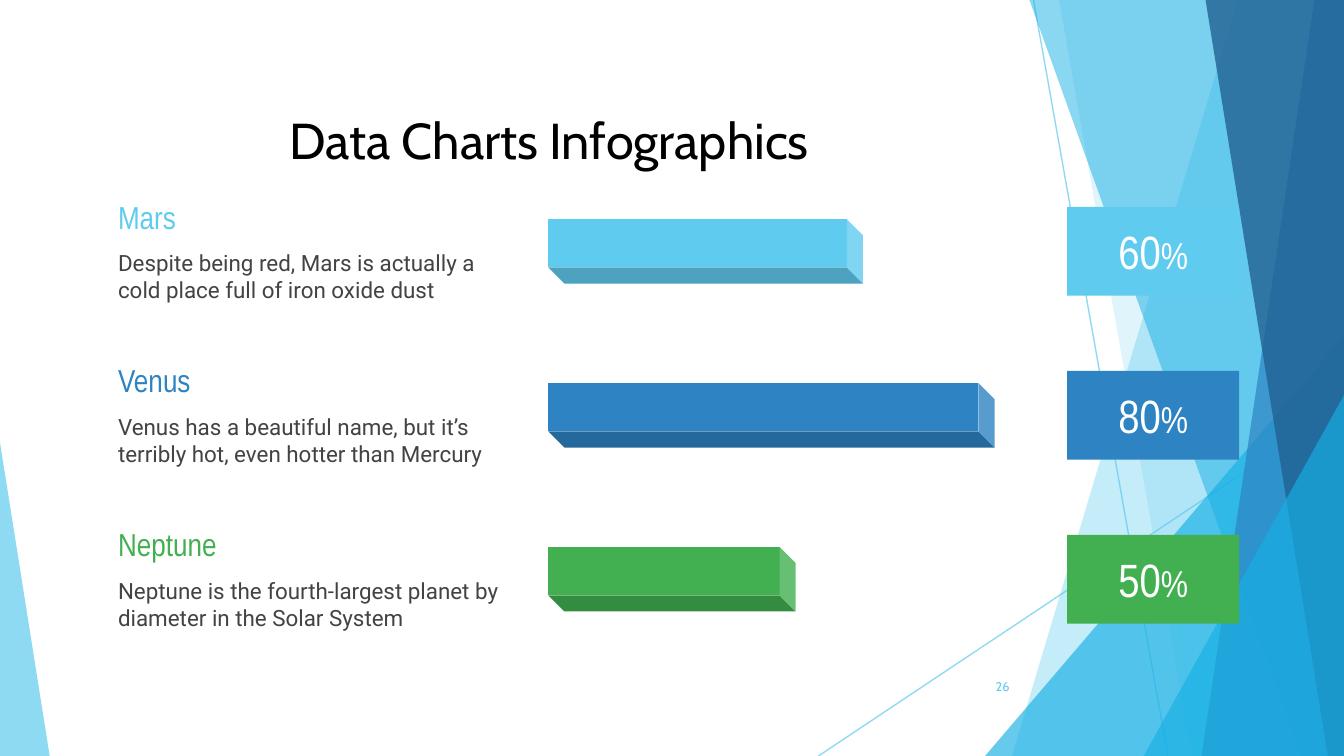
from dataclasses import dataclass

from lxml.etree import SubElement
from pptx import Presentation
from pptx.dml.color import RGBColor
from pptx.enum.shapes import MSO_CONNECTOR, MSO_SHAPE
from pptx.enum.text import MSO_ANCHOR, PP_ALIGN
from pptx.oxml.ns import qn
from pptx.util import Inches, Pt

WIDTH = 10
HEIGHT = WIDTH * 9 / 16
SKY = RGBColor(0x5F, 0xCB, 0xEF)
CYAN = RGBColor(0x17, 0xB0, 0xE4)
BLUE = RGBColor(0x2E, 0x83, 0xC3)
NAVY = RGBColor(0x22, 0x62, 0x92)
GREEN = RGBColor(0x42, 0xB0, 0x51)
GRAY = RGBColor(0x43, 0x43, 0x43)
BLACK = RGBColor(0, 0, 0)
WHITE = RGBColor(255, 255, 255)

ROW_TOP, ROW_STEP = 1.41, 1.22
TEXT_LEFT, TEXT_WIDTH = 0.78, 3.08
BAR_LEFT, BAR_HEIGHT = 4.08, 0.48


@dataclass
class Facet:
    """Panel from a slanted left edge to the right side of the slide."""
    top_x: float
    bottom_x: float
    color: RGBColor
    alpha: int


@dataclass
class Wedge:
    """Triangle standing on the bottom of the slide."""
    left: float
    top: float
    width: float
    apex: float
    color: RGBColor
    alpha: int


@dataclass
class Planet:
    name: str
    text: str
    value: int
    bar: float
    color: RGBColor


RAYS = [(7.69, 0, 8.69, HEIGHT), (10, 3.02, 6.09, HEIGHT)]
BACKDROP = [
    Facet(9.21, 7.53, SKY, 36),
    Facet(7.88, 8.87, SKY, 20),
    Wedge(7.33, 2.5, 2.67, 1, CYAN, 66),
    Facet(7.66, 9.68, CYAN, 50),
    Facet(9.78, 8.94, BLUE, 70),
    Facet(8.97, 9.88, NAVY, 80),
    Wedge(8.51, 2.94, 1.49, 1, CYAN, 66),
    Wedge(0, 3.29, 0.37, 0, SKY, 70),
]
PLANETS = [
    Planet("Mars", "Despite being red, Mars is actually a cold place full of iron oxide dust",
           60, 2.34, SKY),
    Planet("Venus", "Venus has a beautiful name, but it’s terribly hot, even hotter than Mercury",
           80, 3.32, BLUE),
    Planet("Neptune", "Neptune is the fourth-largest planet by diameter in the Solar System",
           50, 1.84, GREEN),
]


def set_alpha(fill_parent, percent: int) -> None:
    color = fill_parent.find(".//" + qn("a:srgbClr"))
    SubElement(color, qn("a:alpha"), val=str(percent * 1000))


def paint(shape, color: RGBColor) -> None:
    shape.shadow.inherit = False
    shape.fill.solid()
    shape.fill.fore_color.rgb = color
    shape.line.fill.background()


def write(shape, runs: list[tuple[str, float]], font: str, color: RGBColor,
          align=PP_ALIGN.LEFT) -> None:
    """Fill a shape with one paragraph of (text, size) runs."""
    tf = shape.text_frame
    frame_format = {"word_wrap": True, "vertical_anchor": MSO_ANCHOR.MIDDLE}
    frame_format |= {f"margin_{side}": Inches(0.1) for side in ("left", "top", "right", "bottom")}
    for key, value in frame_format.items():
        setattr(tf, key, value)
    p = tf.paragraphs[0]
    p.alignment = align
    for text, size in runs:
        r = p.add_run()
        r.text = text
        for key, value in {"name": font, "size": Pt(size)}.items():
            setattr(r.font, key, value)
        r.font.color.rgb = color


def box(s, left: float, top: float, width: float, height: float):
    return s.shapes.add_textbox(Inches(left), Inches(top), Inches(width), Inches(height))


def preset(s, kind, left: float, top: float, width: float, height: float,
           adjustment: float, color: RGBColor):
    shape = s.shapes.add_shape(kind, Inches(left), Inches(top), Inches(width), Inches(height))
    shape.adjustments[0] = adjustment
    paint(shape, color)
    return shape


def draw_ray(s, x1: float, y1: float, x2: float, y2: float) -> None:
    ray = s.shapes.add_connector(MSO_CONNECTOR.STRAIGHT,
                                 Inches(x1), Inches(y1), Inches(x2), Inches(y2))
    ray.line.width = Pt(0.75)
    ray.line.color.rgb = SKY
    sp_pr = ray.element.spPr
    set_alpha(sp_pr, 70)
    SubElement(sp_pr, qn("a:effectLst"))


def draw_facet(s, facet: Facet) -> None:
    builder = s.shapes.build_freeform(Inches(facet.top_x), 0)
    corners = [(WIDTH, 0), (WIDTH, HEIGHT), (facet.bottom_x, HEIGHT)]
    builder.add_line_segments([(Inches(x), Inches(y)) for x, y in corners])
    shape = builder.convert_to_shape()
    paint(shape, facet.color)
    set_alpha(shape.element.spPr, facet.alpha)


def draw_wedge(s, wedge: Wedge) -> None:
    shape = preset(s, MSO_SHAPE.ISOSCELES_TRIANGLE, wedge.left, wedge.top, wedge.width,
                   HEIGHT - wedge.top, wedge.apex, wedge.color)
    set_alpha(shape.element.spPr, wedge.alpha)


def draw_planet(s, planet: Planet, top: float) -> None:
    write(box(s, TEXT_LEFT, top, TEXT_WIDTH, 0.4), [(planet.name, 17)],
          "Arial Narrow", planet.color)
    write(box(s, TEXT_LEFT, top + 0.36, TEXT_WIDTH, 0.57), [(planet.text, 12)], "Roboto", GRAY)

    # The upright cube turns about its centre to lie along the row.
    shift = (planet.bar - BAR_HEIGHT) / 2
    bar = preset(s, MSO_SHAPE.CUBE, BAR_LEFT + shift, top + 0.22 - shift,
                 BAR_HEIGHT, planet.bar, 0.25, planet.color)
    bar.rotation = 90

    badge = preset(s, MSO_SHAPE.ROUNDED_RECTANGLE, 7.94, top + 0.13, 1.28, 0.66, 0, planet.color)
    write(badge, [(str(planet.value), 25), ("%", 20)], "Arial Narrow", WHITE, PP_ALIGN.CENTER)


def main() -> None:
    prs = Presentation()
    prs.slide_width, prs.slide_height = Inches(WIDTH), Inches(HEIGHT)
    s = prs.slides.add_slide(prs.slide_layouts[5])

    for ray in RAYS:
        draw_ray(s, *ray)
    for part in BACKDROP:
        if isinstance(part, Facet):
            draw_facet(s, part)
        else:
            draw_wedge(s, part)

    title = s.shapes.title
    title.element.getparent().append(title.element)  # in front of the backdrop
    place = {"left": 0.56, "top": 0.5, "width": 7.05, "height": 1.08}
    for key, value in place.items():
        setattr(title, key, Inches(value))
    write(title, [("Data Charts Infographics", 27)], "Cabin", BLACK, PP_ALIGN.CENTER)
    write(box(s, 7.05, 4.96, 0.56, 0.3), [("26", 6.8)], "Cabin", SKY, PP_ALIGN.RIGHT)

    for i, planet in enumerate(PLANETS):
        draw_planet(s, planet, ROW_TOP + i * ROW_STEP)
    prs.save("out.pptx")


if __name__ == "__main__":
    main()
